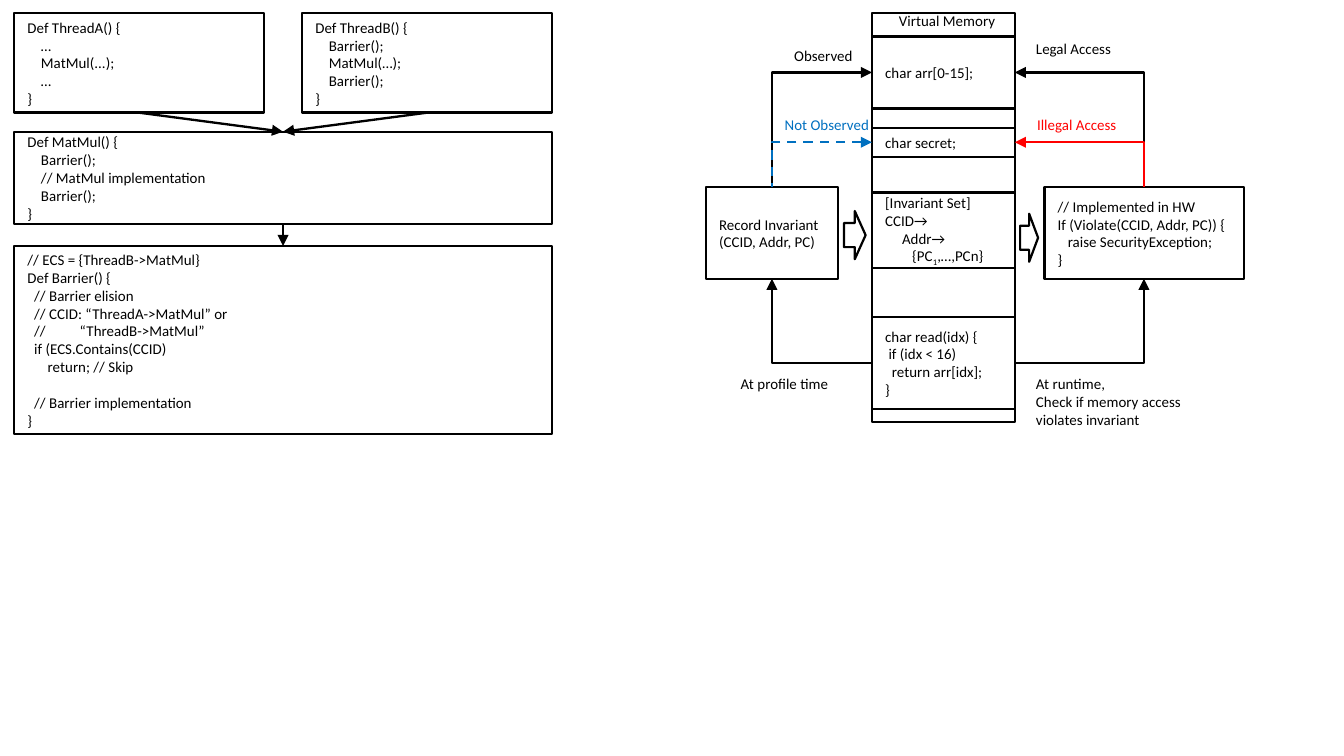
from pptx import Presentation
from pptx import util as u
from pptx.dml.color import RGBColor
from pptx.enum import dml, shapes, text
from pptx.oxml.ns import qn
from lxml import etree

HUES = {"ink": "000000", "blue": "0070C0", "red": "FF0000"}
FONT = "Calibri"


def write(frame, words, hue="ink", size=8, anchor=text.MSO_ANCHOR.TOP):
    """Fill a frame line by line; ~x~ is a subscript, an empty line a gap."""
    frame.word_wrap = True
    frame.vertical_anchor = anchor
    gap, para = 0, None
    for line in words.split("\n"):
        if not line:
            gap = size * 1.2
            continue
        para = frame.add_paragraph() if para else frame.paragraphs[0]
        para.alignment = text.PP_ALIGN.LEFT
        if gap:
            para.space_before, gap = u.Pt(gap), 0
        for i, piece in enumerate(line.split("~")):
            run = para.add_run()
            run.text = piece
            run.font.name, run.font.size = FONT, u.Pt(size)
            run.font.color.rgb = RGBColor.from_string(HUES[hue])
            if i % 2:
                run.font._element.set("baseline", "-25000")


class Sketch:
    """Holds the line style and the current slide; lengths are in cm."""

    def __init__(self, slide, width=1.25):
        self.slide = slide
        self.width = width

    def ink(self, line, hue="ink"):
        line.color.rgb = RGBColor.from_string(HUES[hue])
        line.width = u.Pt(self.width)

    def box(self, x, y, w, h, words="", kind=shapes.MSO_SHAPE.RECTANGLE):
        item = self.slide.shapes.add_shape(kind, *map(u.Cm, (x, y, w, h)))
        item.shadow.inherit = False
        item.fill.background()
        self.ink(item.line)
        if words:
            write(item.text_frame, words, anchor=text.MSO_ANCHOR.MIDDLE)

    def label(self, x, y, w, h, words, hue="ink"):
        item = self.slide.shapes.add_textbox(*map(u.Cm, (x, y, w, h)))
        write(item.text_frame, words, hue=hue)

    def arrow(self, start, end, hue="ink", tip="tailEnd", bent=False, dash=False):
        """Draw a line with its tip at either end; a bent one leaves sideways."""
        kind = shapes.MSO_CONNECTOR.ELBOW if bent else shapes.MSO_CONNECTOR.STRAIGHT
        item = self.slide.shapes.add_connector(kind, *map(u.Cm, (*start, *end)))
        self.ink(item.line, hue)
        if dash:
            item.line.dash_style = dml.MSO_LINE.DASH
        frame = item._element.spPr
        if bent:
            frame.find(qn("a:prstGeom")).set("prst", "bentConnector2")
        etree.SubElement(frame.find(qn("a:ln")), qn("a:" + tip), type="triangle")
        etree.SubElement(frame, qn("a:effectLst"))


def draw_code(art):
    left, wide, half, top = 0.27, 10.16, 4.72, 0.25
    mid = left + wide / 2
    threads = [
        (left, "Def ThreadA() {\n    …\n    MatMul(...);\n    …\n}"),
        (left + wide - half,
         "Def ThreadB() {\n    Barrier();\n    MatMul(…);\n    Barrier();\n}"),
    ]
    for x, code in threads:
        art.box(x, top, half, 1.88, code)
        art.arrow((x + half / 2, 2.13), (mid, 2.49))
    art.box(left, 2.49, wide, 1.74,
            "Def MatMul() {\n    Barrier();\n    // MatMul implementation\n"
            "    Barrier();\n}")
    art.arrow((mid, 4.23), (mid, 4.65))
    art.box(left, 4.65, wide, 3.55,
            "// ECS = {ThreadB->MatMul}\nDef Barrier() {\n  // Barrier elision\n"
            "  // CCID: “ThreadA->MatMul” or\n  //          “ThreadB->MatMul”\n"
            "  if (ECS.Contains(CCID)\n      return; // Skip\n\n"
            "  // Barrier implementation\n}")


def draw_memory(art):
    left, wide = 16.48, 2.7
    right = left + wide
    cells = [
        (0.25, 7.73, ""),
        (0.69, 1.36, "char arr[0-15];"),
        (2.42, 0.55, "char secret;"),
        (3.64, 1.43, "[Invariant Set]\nCCID→\n     Addr→\n        {PC~1~,…,PCn}"),
        (5.99, 1.74, "char read(idx) {\n if (idx < 16)\n  return arr[idx];\n}"),
    ]
    for y, h, words in cells:
        art.box(left, y, wide, h, words)

    top, high = 3.54, 1.73
    art.box(13.34, top, 2.5, high, "Record Invariant (CCID, Addr, PC)")
    art.box(19.74, top, 3.77, high,
            "// Implemented in HW\nIf (Violate(CCID, Addr, PC)) {\n"
            "   raise SecurityException;\n}")

    for edge, mid, hue in ((left, 14.59, "blue"), (right, 21.62, "red")):
        art.arrow((edge, 6.86), (mid, top + high), bent=True)
        art.arrow((edge, 1.37), (mid, top), bent=True, tip="headEnd")
        art.arrow((edge, 2.69), (mid, top), bent=True, tip="headEnd",
                  hue=hue, dash=hue == "blue")

    art.width = 1.2
    for x, y, w in ((15.95, 3.99, 0.41), (19.28, 4.04, 0.34)):
        art.box(x, y, w, 0.91, kind=shapes.MSO_SHAPE.RIGHT_ARROW)

    labels = [
        (14.76, 0.76, 1.78, 0.6, "Observed", "ink"),
        (14.58, 2.07, 2.49, 0.6, "Not Observed", "blue"),
        (19.33, 0.63, 2.29, 0.6, "Legal Access", "ink"),
        (19.35, 2.06, 2.46, 0.6, "Illegal Access", "red"),
        (13.75, 6.96, 3, 0.6, "At profile time", "ink"),
        (19.33, 6.96, 3.5, 1.28,
         "At runtime,\nCheck if memory access\nviolates invariant", "ink"),
        (16.74, 0.1, 2.62, 0.6, "Virtual Memory", "ink"),
    ]
    for *place, words, hue in labels:
        art.label(*place, words, hue=hue)


def main():
    deck = Presentation()
    deck.slide_width, deck.slide_height = u.Cm(25.4), u.Cm(14.29)
    art = Sketch(deck.slides.add_slide(deck.slide_layouts[6]))
    draw_code(art)
    draw_memory(art)
    deck.save("out.pptx")


if __name__ == "__main__":
    main()
